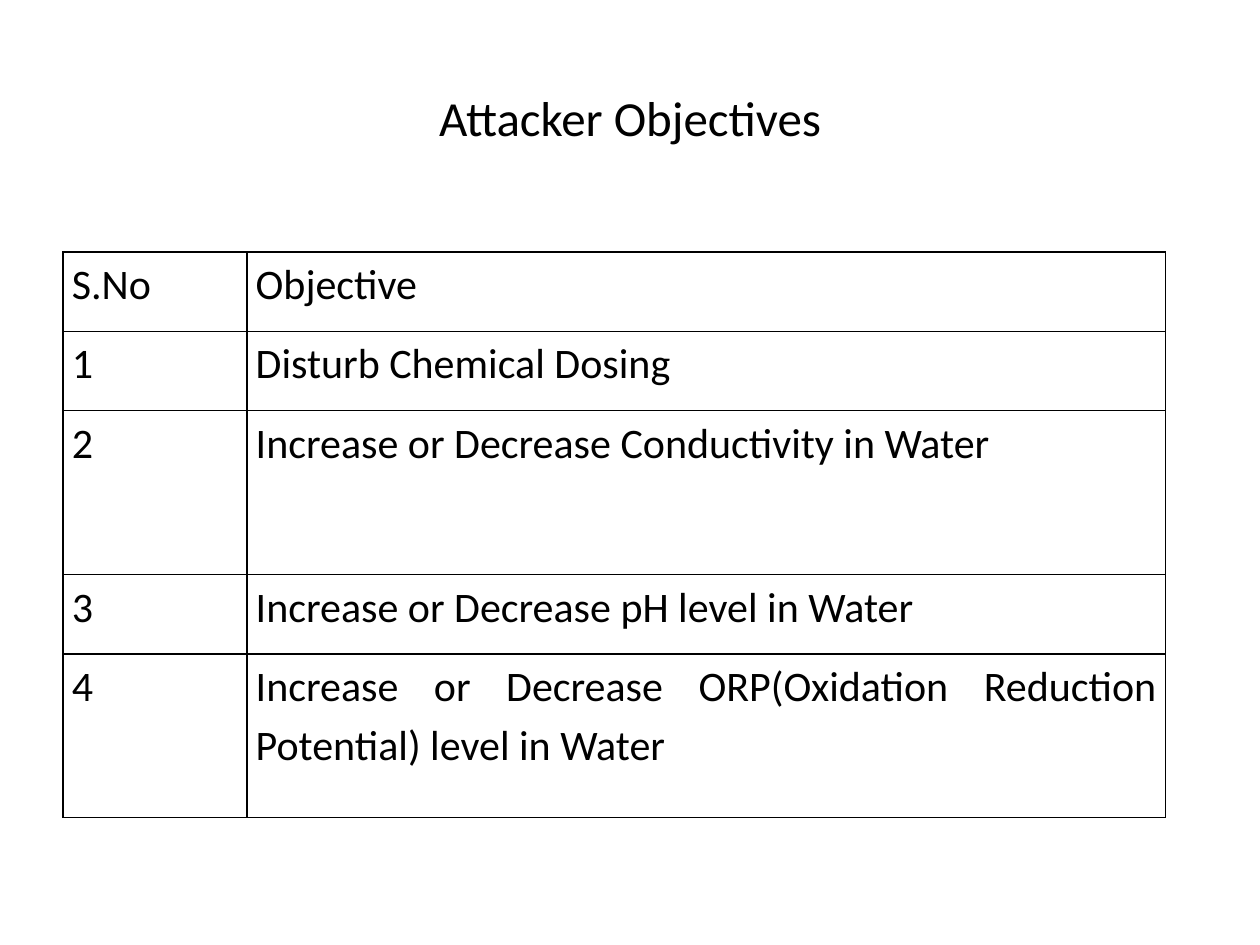
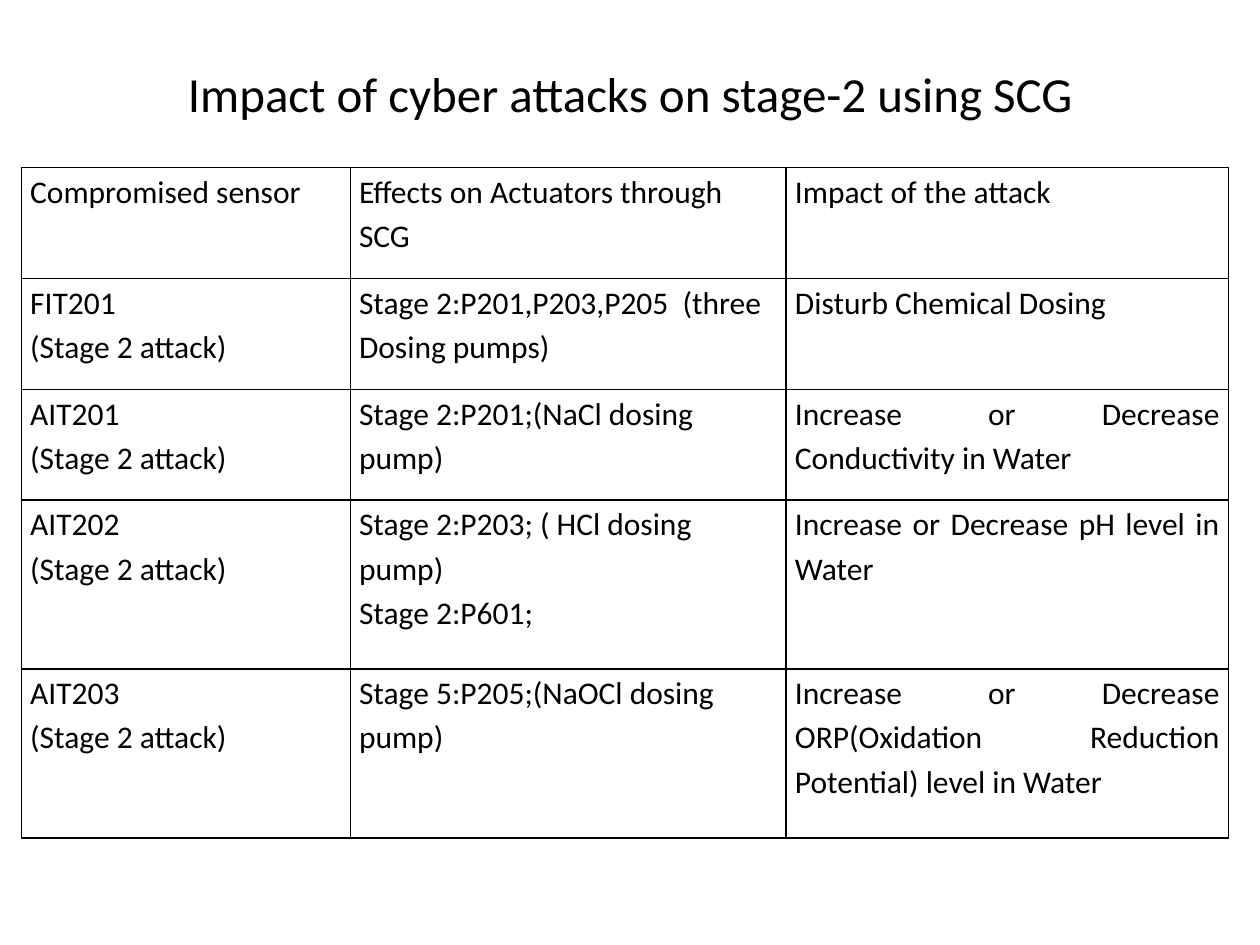
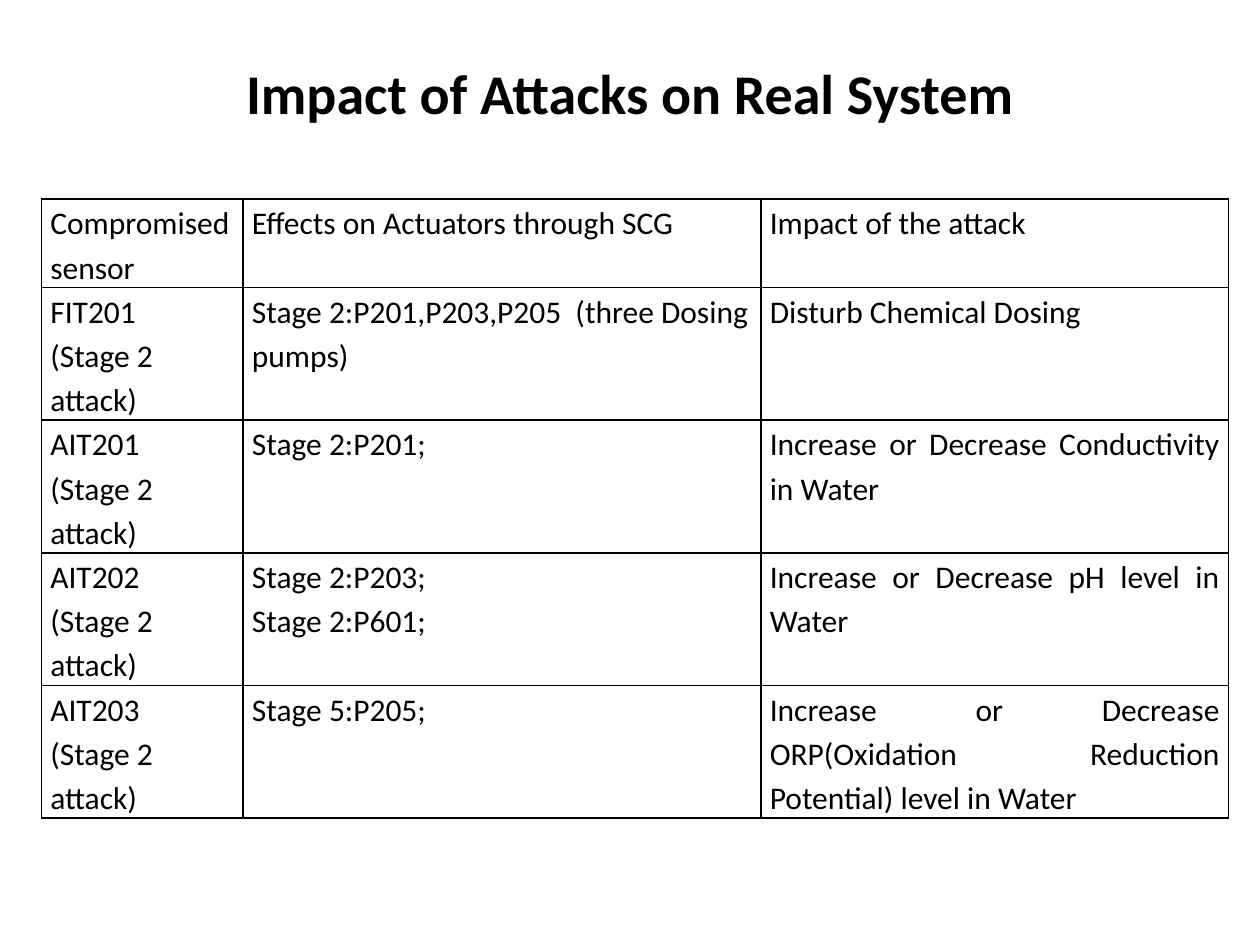
import pptx
import pptx.util
import pptx.dml.color
import pptx.enum.text
import pptx.oxml
import pptx.oxml.ns
from dataclasses import dataclass

Inches = pptx.util.Inches
Pt = pptx.util.Pt
ALIGN = pptx.enum.text.PP_ALIGN
ANCHOR = pptx.enum.text.MSO_ANCHOR


@dataclass(frozen=True)
class Theme:
    font: str = "Calibri"
    ink: str = "000000"
    title_size: int = 28
    strong_title_size: int = 32
    objective_size: int = 24
    impact_size: int = 18
    line_spacing: float = 1.15
    side_margin: float = 0.07
    border_width: float = 1


THEME = Theme()

# Wording shared by the three tables
IMPACTS = [
    "Disturb Chemical Dosing",
    "Increase or Decrease Conductivity in Water",
    "Increase or Decrease pH level in Water",
    "Increase or Decrease ORP(Oxidation Reduction Potential) level in Water",
]
SENSORS = ["FIT201", "AIT201", "AIT202", "AIT203"]
IMPACT_HEADER = ["Compromised sensor", "Effects on Actuators through SCG", "Impact of the attack"]
DOSING_PUMPS = "Stage 2:P201,P203,P205  (three Dosing pumps)"
SCG_EFFECTS = [
    DOSING_PUMPS,
    "Stage 2:P201;(NaCl dosing pump)",
    "Stage 2:P203; ( HCl dosing pump)\nStage 2:P601;",
    "Stage 5:P205;(NaOCl dosing pump)",
]
REAL_EFFECTS = [DOSING_PUMPS, "Stage 2:P201;", "Stage 2:P203;\nStage 2:P601;", "Stage 5:P205;"]


def apply(target, formats):
    for attribute, value in formats.items():
        setattr(target, attribute, value)


def style_text(frame, size, bold=False, **paragraph_formats):
    for paragraph in frame.paragraphs:
        apply(paragraph, paragraph_formats)
        for run in paragraph.runs:
            apply(run.font, {"name": THEME.font, "size": Pt(size), "bold": bold})
            run.font.color.rgb = pptx.dml.color.RGBColor.from_string(THEME.ink)


def draw_borders(cell):
    """Rule all four sides; the lines must precede the fill in the cell XML."""
    properties = cell._tc.get_or_add_tcPr()
    for position, side in enumerate(("lnL", "lnR", "lnT", "lnB")):
        border = pptx.oxml.parse_xml(
            f'<a:{side} {pptx.oxml.ns.nsdecls("a")} w="{Pt(THEME.border_width)}">'
            f'<a:solidFill><a:srgbClr val="{THEME.ink}"/></a:solidFill></a:{side}>')
        properties.insert(position, border)


def add_titled_slide(deck, title, height, size=THEME.title_size, bold=False):
    slide = deck.slides.add_slide(deck.slide_layouts[5])
    heading = slide.shapes.title
    apply(heading, {"left": Inches(0.5), "top": Inches(0.3),
                    "width": Inches(9), "height": Inches(height)})
    heading.text_frame.text = title
    heading.text_frame.vertical_anchor = ANCHOR.MIDDLE
    style_text(heading.text_frame, size, bold, alignment=ALIGN.CENTER)
    return slide


def add_ruled_table(slide, origin, widths, heights, rows, size):
    """Place an unfilled grid at origin; its last column is justified below row 1."""
    left, top = origin
    grid = slide.shapes.add_table(
        len(heights), len(widths), Inches(left), Inches(top),
        Inches(sum(widths)), Inches(sum(heights))).table
    apply(grid, {"first_row": False, "horz_banding": False})
    for column, width in zip(grid.columns, widths):
        column.width = Inches(width)
    for row, height in zip(grid.rows, heights):
        row.height = Inches(height)

    cell_formats = {
        "margin_left": Inches(THEME.side_margin), "margin_right": Inches(THEME.side_margin),
        "margin_top": 0, "margin_bottom": 0, "vertical_anchor": ANCHOR.TOP,
    }
    for row_index, texts in enumerate(rows):
        for column_index, text in enumerate(texts):
            cell = grid.cell(row_index, column_index)
            cell.text = text
            apply(cell, cell_formats)
            cell.fill.background()
            draw_borders(cell)
            justified = row_index > 1 and column_index == len(widths) - 1
            style_text(cell.text_frame, size, line_spacing=THEME.line_spacing,
                       alignment=ALIGN.JUSTIFY if justified else ALIGN.LEFT)


def impact_rows(effects):
    stages = [f"{sensor}\n(Stage 2 attack)" for sensor in SENSORS]
    return [IMPACT_HEADER, *zip(stages, effects, IMPACTS)]


def objectives_slide(deck):
    slide = add_titled_slide(deck, "Attacker Objectives", 1.25)
    numbered = [(str(number), impact) for number, impact in enumerate(IMPACTS, 1)]
    add_ruled_table(slide, (0.5, 2), [1.46, 7.29], [0.63, 0.63, 1.3, 0.63, 1.3],
                    [("S.No", "Objective"), *numbered], THEME.objective_size)


def scg_impact_slide(deck):
    slide = add_titled_slide(deck, "Impact of cyber attacks on stage-2 using SCG", 0.87)
    add_ruled_table(slide, (0.17, 1.33), [2.61, 3.46, 3.51], [0.88] * 3 + [1.34] * 2,
                    impact_rows(SCG_EFFECTS), THEME.impact_size)


def real_impact_slide(deck):
    slide = add_titled_slide(deck, "Impact of Attacks on Real System", 0.87,
                             THEME.strong_title_size, bold=True)
    add_ruled_table(slide, (0.33, 1.58), [1.6, 4.11, 3.71], [0.67] + [1] * 4,
                    impact_rows(REAL_EFFECTS), THEME.impact_size)


def main():
    deck = pptx.Presentation()
    apply(deck, {"slide_width": Inches(10), "slide_height": Inches(7.5)})
    for build_slide in (objectives_slide, scg_impact_slide, real_impact_slide):
        build_slide(deck)
    deck.save("out.pptx")


if __name__ == "__main__":
    main()
